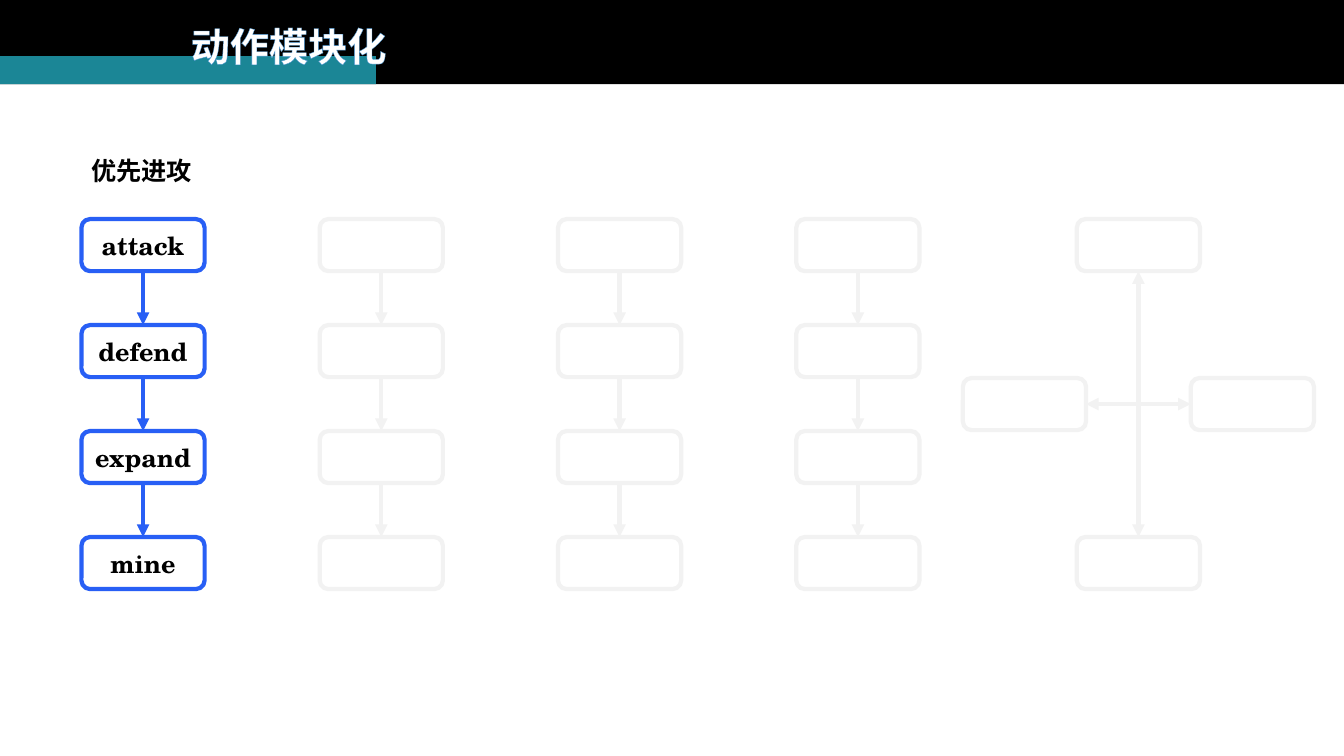
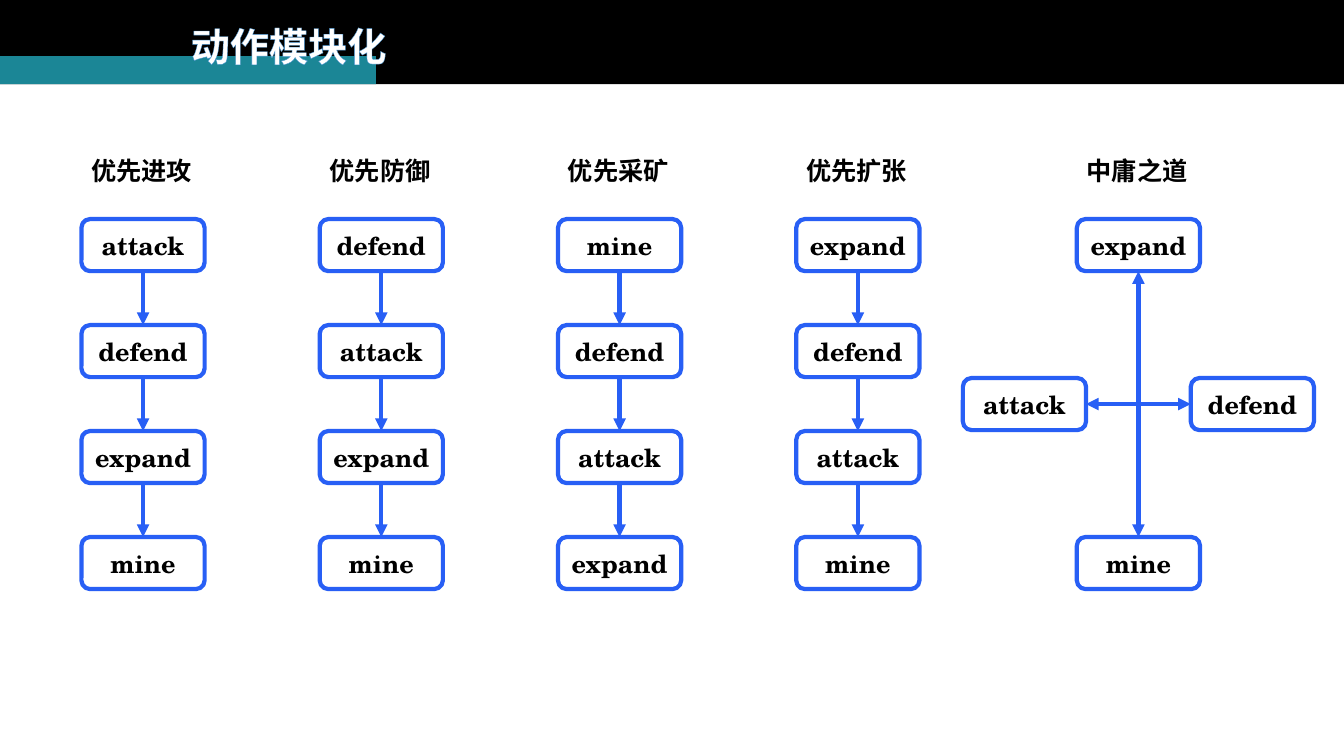
from lxml.etree import SubElement
from pptx import Presentation
from pptx.dml.color import RGBColor
from pptx.enum.shapes import MSO_CONNECTOR, MSO_SHAPE
from pptx.enum.text import MSO_ANCHOR, MSO_AUTO_SIZE, PP_ALIGN
from pptx.oxml import parse_xml
from pptx.oxml.ns import nsdecls, qn
from pptx.util import Pt

BLACK = RGBColor(0x00, 0x00, 0x00)
WHITE = RGBColor(0xFF, 0xFF, 0xFF)
TEAL = RGBColor(0x1B, 0x86, 0x96)
BLUE = RGBColor(0x28, 0x5F, 0xF5)
FADED = RGBColor(0xF2, 0xF2, 0xF2)
TITLE_OUTLINE = RGBColor(0x48, 0x93, 0xCF)

HEADING_FONT = "Noto Sans CJK SC"
NODE_FONT = "TeX Gyre Schola"

SLIDE_WIDTH, SLIDE_HEIGHT = 960, 540
HEADER_HEIGHT = 60.2
ACCENT_WIDTH, ACCENT_HEIGHT = 268.5, 20

NODE_WIDTH, NODE_HEIGHT = 88, 37.2
ROW_PITCH = 75.7
NODES_OFFSET = 49
STRATEGY_TOP = 107.5
FIRST_LEFT, COLUMN_PITCH = 58.2, 170.2
BALANCED_LEFT = 769.2
SIDE_REACH = 81.4

TITLE = "动作模块化"
PRIORITIES = [
    ("优先进攻", ["attack", "defend", "expand", "mine"]),
    ("优先防御", ["defend", "attack", "expand", "mine"]),
    ("优先采矿", ["mine", "defend", "attack", "expand"]),
    ("优先扩张", ["expand", "defend", "attack", "mine"]),
]
BALANCED = "中庸之道"


def format_text(frame, font_name, size, color):
    """Give every run of a text frame one bold font, size and colour."""
    for paragraph in frame.paragraphs:
        for run in paragraph.runs:
            run.font.size = Pt(size)
            run.font.bold = True
            run.font.color.rgb = color
            run.font.name = font_name
            east_asian = SubElement(run.font._element, qn("a:ea"))
            east_asian.set("typeface", font_name)


def add_band(shapes, top, width, height, color):
    """Add a header band that starts at the left edge and return it."""
    band = shapes.add_shape(MSO_SHAPE.RECTANGLE, 0, Pt(top), Pt(width), Pt(height))
    band.shadow.inherit = False
    band.fill.solid()
    band.fill.fore_color.rgb = color
    band.line.fill.background()
    return band


def add_header_to_layout(layout, slide):
    """Draw the header bands on a slide and move them to its layout."""
    for placeholder in list(layout.placeholders):
        if placeholder.placeholder_format.idx != 0:
            layout.shapes.element.remove(placeholder.element)
    header = add_band(slide.shapes, 0, SLIDE_WIDTH, HEADER_HEIGHT, BLACK)
    accent = add_band(slide.shapes, HEADER_HEIGHT - ACCENT_HEIGHT,
                      ACCENT_WIDTH, ACCENT_HEIGHT, TEAL)
    for band in (header, accent):
        layout.shapes.element.append(band.element)


def place_title(slide):
    """Place and format the slide title over the header."""
    title = slide.shapes.title
    title.left, title.top = Pt(129), Pt(12.2)
    title.width, title.height = Pt(156.2), Pt(41)
    frame = title.text_frame
    frame.text = TITLE
    frame.word_wrap = False
    frame.auto_size = MSO_AUTO_SIZE.NONE
    frame.vertical_anchor = MSO_ANCHOR.TOP
    frame.paragraphs[0].alignment = PP_ALIGN.LEFT
    format_text(frame, HEADING_FONT, 28, WHITE)
    outline = parse_xml(
        f'<a:ln {nsdecls("a")} w="{Pt(0.52)}"><a:solidFill>'
        f'<a:srgbClr val="{TITLE_OUTLINE}"/></a:solidFill></a:ln>')
    frame.paragraphs[0].runs[0].font._element.insert(0, outline)


def add_heading(slide, left, top, wording):
    """Add the heading of a strategy."""
    heading = slide.shapes.add_textbox(Pt(left), Pt(top), Pt(114), Pt(29))
    heading.text_frame.word_wrap = True
    heading.text_frame.text = wording
    format_text(heading.text_frame, HEADING_FONT, 18, BLACK)


def add_node(slide, left, top, action, active):
    """Add a rounded action node, labelled when active, and return it."""
    node = slide.shapes.add_shape(MSO_SHAPE.ROUNDED_RECTANGLE, Pt(left), Pt(top),
                                  Pt(NODE_WIDTH), Pt(NODE_HEIGHT))
    node.shadow.inherit = False
    node.fill.background()
    node.line.color.rgb = BLUE if active else FADED
    node.line.width = Pt(3)
    if active:
        frame = node.text_frame
        frame.margin_left = frame.margin_right = 0
        frame.vertical_anchor = MSO_ANCHOR.MIDDLE
        frame.text = action
        frame.paragraphs[0].alignment = PP_ALIGN.CENTER
        format_text(frame, NODE_FONT, 18, BLACK)
    return node


def add_arrow(slide, start, start_side, end, end_side, active, ends=("tailEnd",)):
    """Join two nodes with an arrow that has heads at the given ends."""
    arrow = slide.shapes.add_connector(MSO_CONNECTOR.STRAIGHT, 0, 0, 0, 0)
    arrow.begin_connect(start, start_side)
    arrow.end_connect(end, end_side)
    arrow.line.color.rgb = BLUE if active else FADED
    arrow.line.width = Pt(3)
    outline = arrow.line._get_or_add_ln()
    for end_name in ends:
        SubElement(outline, qn(f"a:{end_name}")).set("type", "triangle")
    SubElement(arrow.element.spPr, qn("a:effectLst"))


def add_priority_chain(slide, left, top, heading, actions, active):
    """Add a downward chain of actions, with its heading when active."""
    if active:
        add_heading(slide, left, top, heading)
    nodes = [
        add_node(slide, left, top + NODES_OFFSET + row * ROW_PITCH, action, active)
        for row, action in enumerate(actions)
    ]
    for upper, lower in zip(nodes, nodes[1:]):
        add_arrow(slide, upper, 2, lower, 0, active)


def add_balanced_cross(slide, left, top, active):
    """Add the balanced strategy as a cross of two double arrows."""
    if active:
        add_heading(slide, left, top, BALANCED)
    nodes_top = top + NODES_OFFSET
    middle = nodes_top + 1.5 * ROW_PITCH
    expand, mine, attack, defend = [
        add_node(slide, node_left, node_top, action, active)
        for action, node_left, node_top in (
            ("expand", left, nodes_top),
            ("mine", left, nodes_top + 3 * ROW_PITCH),
            ("attack", left - SIDE_REACH, middle),
            ("defend", left + SIDE_REACH, middle),
        )
    ]
    both = ("headEnd", "tailEnd")
    add_arrow(slide, expand, 2, mine, 0, active, both)
    add_arrow(slide, attack, 3, defend, 1, active, both)


def build_strategy_slide(slide, active_count):
    """Fill a slide with all strategies, fading those past the active count."""
    place_title(slide)
    for column, (heading, actions) in enumerate(PRIORITIES):
        add_priority_chain(slide, FIRST_LEFT + column * COLUMN_PITCH, STRATEGY_TOP,
                           heading, actions, column < active_count)
    add_balanced_cross(slide, BALANCED_LEFT, STRATEGY_TOP,
                       active_count > len(PRIORITIES))


def main():
    """Build the presentation and save it."""
    presentation = Presentation()
    presentation.slide_width, presentation.slide_height = Pt(SLIDE_WIDTH), Pt(SLIDE_HEIGHT)
    layout = presentation.slide_layouts[5]
    slides = [presentation.slides.add_slide(layout) for _ in range(2)]
    add_header_to_layout(layout, slides[0])
    for slide, active_count in zip(slides, (1, len(PRIORITIES) + 1)):
        build_strategy_slide(slide, active_count)
    presentation.save("out.pptx")


if __name__ == "__main__":
    main()
